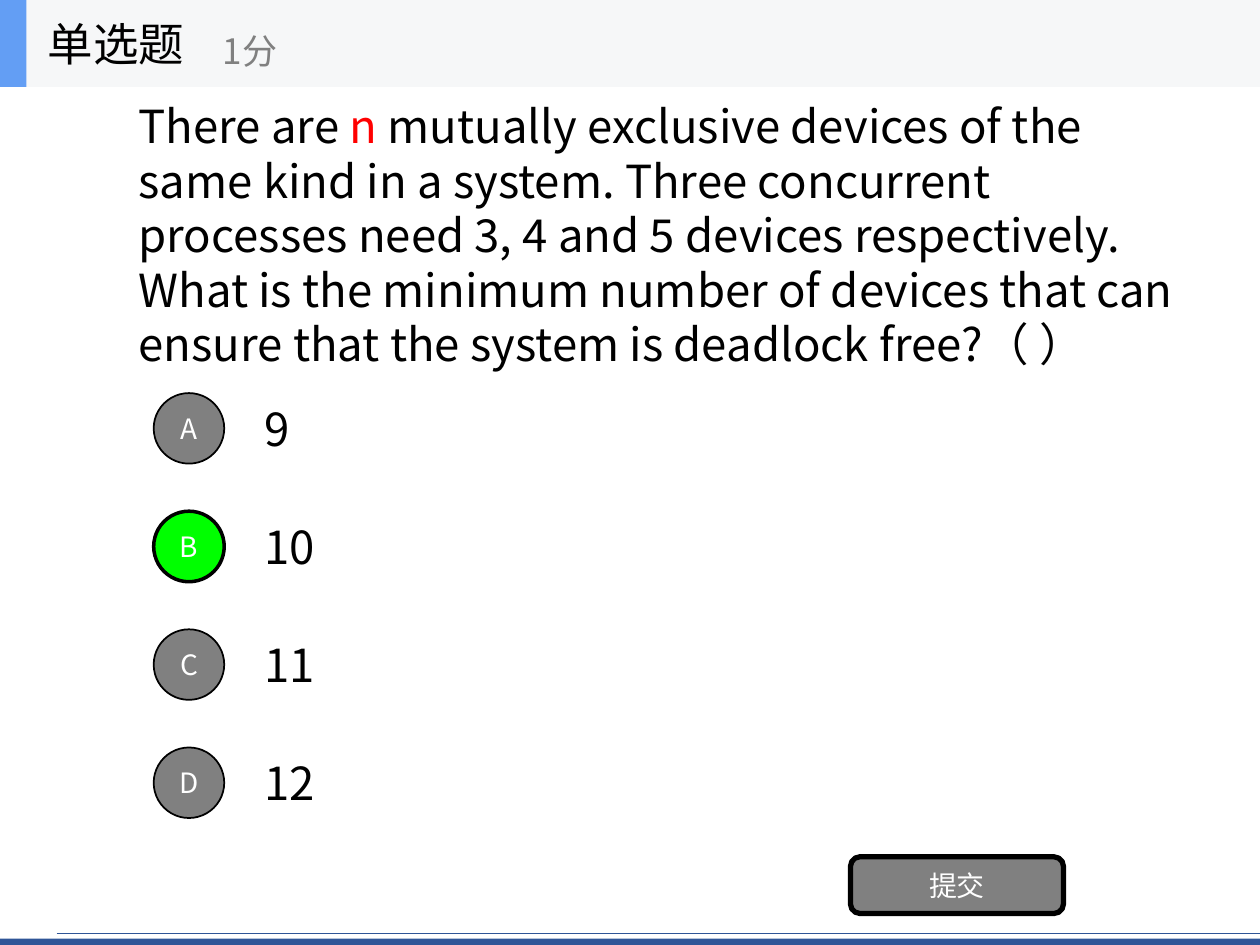
from pptx import Presentation
from pptx.dml.color import RGBColor
from pptx.enum.shapes import MSO_CONNECTOR, MSO_SHAPE
from pptx.enum.text import MSO_ANCHOR, MSO_AUTO_SIZE, PP_ALIGN
from pptx.oxml.ns import qn
from pptx.util import Inches, Pt
from lxml.etree import SubElement

FONT = "Noto Sans CJK SC"
COLORS = {
    "navy": "2F5597", "black": "000000", "red": "FF0000", "gray": "808080",
    "green": "00FF00", "white": "FFFFFF", "band": "F6F7F8", "blue": "639EF4",
}
WIDTH, HEIGHT = 10, 7.5


def rgb(name):
    return RGBColor.from_string(COLORS[name])


def write(shape, runs, size, align=PP_ALIGN.LEFT, wrap=True):
    frame = shape.text_frame
    frame.word_wrap = wrap
    frame.auto_size = MSO_AUTO_SIZE.NONE
    frame.vertical_anchor = MSO_ANCHOR.MIDDLE
    para = frame.paragraphs[0]
    para.alignment = align
    para.line_spacing = 1.0
    for text, color in runs:
        run = para.add_run()
        run.text = text
        run.font.size = Pt(size)
        run.font.name = FONT
        run.font.color.rgb = rgb(color)
        SubElement(run.font._element, qn("a:ea")).set("typeface", FONT)


def label(slide, box, text, size, color="black", wrap=True):
    shape = slide.shapes.add_textbox(*map(Inches, box))
    write(shape, [(text, color)], size, wrap=wrap)


def block(slide, kind, box, fill, line=0, text=None):
    shape = slide.shapes.add_shape(kind, *map(Inches, box))
    shape.shadow.inherit = False
    shape.fill.solid()
    shape.fill.fore_color.rgb = rgb(fill)
    if line:
        shape.line.color.rgb = rgb("black")
        shape.line.width = Pt(line)
    else:
        shape.line.fill.background()
    if text:
        frame = shape.text_frame
        frame.margin_left = frame.margin_right = 0
        write(shape, [(text, "white")], 16, PP_ALIGN.CENTER)


def rule(slide, left, top):
    line = slide.shapes.add_connector(
        MSO_CONNECTOR.STRAIGHT, *map(Inches, (left, top, WIDTH, top)))
    line.line.color.rgb = rgb("navy")
    line.line.width = Pt(0.5)
    SubElement(line._element.spPr, qn("a:effectLst"))


# Bars and thin rules along the top and bottom edges
def edges(slide):
    for top, high in ((HEIGHT - 0.05, 0.05), (0, 0.09)):
        block(slide, MSO_SHAPE.RECTANGLE, (0, top, WIDTH, high), "navy")
    rule(slide, 0, 0.12)
    rule(slide, 0.45, HEIGHT - 0.09)


# Question text in the title placeholder
def question(slide, box, runs):
    title = slide.shapes.title
    title.left, title.top, title.width, title.height = map(Inches, box)
    write(title, runs, 26)


# Lettered answers, one per row
def choices(slide, box, items, right):
    left, top, width, high = box
    step, row, dot = high / len(items), 0.7, 0.56
    for i, (letter, text) in enumerate(items):
        y = top + i * step
        label(slide, (left + 0.78, y, width - 0.78, row), text, 26)
        hit = letter == right
        block(slide, MSO_SHAPE.OVAL, (left, y + (row - dot) / 2, dot, dot),
              "green" if hit else "gray", 2 if hit else 1, letter)


# Heading band with question type and score
def header(slide, box):
    left, top, width, high = box
    block(slide, MSO_SHAPE.RECTANGLE, box, "band")
    block(slide, MSO_SHAPE.RECTANGLE, (left, top, 0.21, high), "blue")
    label(slide, (left + 0.28, top, 2.08, high), "单选题", 26, wrap=False)
    label(slide, (left + 1.67, top + 0.12, 2.5, 0.56), "1分", 20, "gray", False)


def main():
    deck = Presentation()
    deck.slide_width, deck.slide_height = Inches(WIDTH), Inches(HEIGHT)
    slide = deck.slides.add_slide(deck.slide_layouts[5])
    edges(slide)
    question(slide, (1, 0.69, 8.57, 2.34), [
        ("There are ", "black"),
        ("n", "red"),
        (" mutually exclusive devices of the same kind in a system. "
         "Three concurrent processes need 3, 4 and 5 devices respectively. "
         "What is the minimum number of devices that can ensure that the "
         "system is deadlock free?（ ）", "black"),
    ])
    choices(slide, (1.22, 3.05, 7.78, 3.75),
            list(zip("ABCD", ("9", "10", "11", "12"))), "B")
    # Submit button
    block(slide, MSO_SHAPE.ROUNDED_RECTANGLE, (6.75, 6.8, 1.69, 0.45),
          "gray", 3, "提交")
    header(slide, (0, 0, WIDTH, 0.69))
    deck.save("out.pptx")


if __name__ == "__main__":
    main()
